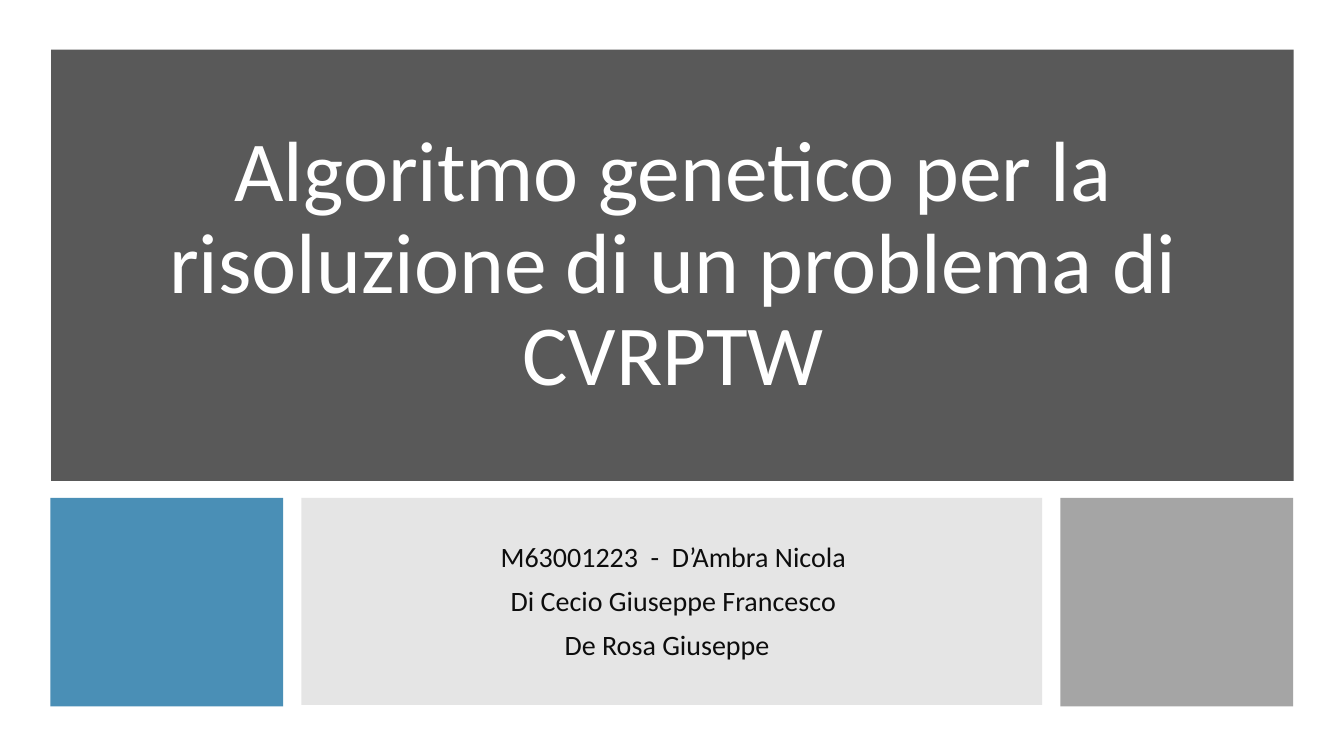
from dataclasses import dataclass
from lxml import etree
from pptx import Presentation
from pptx.dml.color import RGBColor
from pptx.enum.shapes import MSO_SHAPE
from pptx.enum.text import MSO_ANCHOR, MSO_AUTO_SIZE, PP_ALIGN
from pptx.oxml.ns import qn
from pptx.util import Pt


@dataclass(frozen=True)
class Theme:
    font: str = "Calibri"
    title_size: int = 61
    body_size: int = 20
    dark: str = "595959"
    blue: str = "418AB3"
    pale: str = "7F7F7F"
    gray: str = "A5A5A5"
    white: str = "FFFFFF"
    ink: str = "0D0D0D"


theme = Theme()


def add_panel(s, box, color, opacity=100):
    sp = s.shapes.add_shape(MSO_SHAPE.RECTANGLE, *[Pt(v) for v in box])
    sp.shadow.inherit = False
    sp.line.fill.background()
    sp.fill.solid()
    sp.fill.fore_color.rgb = RGBColor.from_string(color)
    if opacity < 100:
        clr = sp.element.spPr.find(qn("a:solidFill")).find(qn("a:srgbClr"))
        etree.SubElement(clr, qn("a:alpha")).set("val", str(opacity * 1000))


def fill_placeholder(sp, box, text, size, color, before):
    sp.left, sp.top, sp.width, sp.height = [Pt(v) for v in box]
    sp.element.getparent().append(sp.element)
    tf = sp.text_frame
    tf.text = text
    tf.word_wrap = True
    tf.auto_size = MSO_AUTO_SIZE.NONE
    tf.vertical_anchor = MSO_ANCHOR.MIDDLE
    for p in tf.paragraphs:
        p.alignment = PP_ALIGN.CENTER
        p.line_spacing = 0.9
        p.space_before = Pt(before)
        for r in p.runs:
            r.font.name = theme.font
            r.font.size = Pt(size)
            r.font.color.rgb = RGBColor.from_string(color)


prs = Presentation()
prs.slide_width, prs.slide_height = Pt(960), Pt(540)
s = prs.slides.add_slide(prs.slide_layouts[0])

add_panel(s, (36.5, 35.5, 887.5, 308), theme.dark)
add_panel(s, (36, 355.7, 166.3, 149), theme.blue, 95)
add_panel(s, (215.3, 355.7, 529.2, 147.8), theme.pale, 20)
add_panel(s, (757.4, 355.7, 166.3, 149), theme.gray)

fill_placeholder(
    s.shapes.title, (86.4, 86.4, 788.4, 206.6),
    "Algoritmo genetico per la risoluzione di un problema di CVRPTW",
    theme.title_size, theme.white, 0)
fill_placeholder(
    s.placeholders[1], (254.2, 381.6, 453.6, 97.2),
    "M63001223  -  D’Ambra Nicola\nDi Cecio Giuseppe Francesco\nDe Rosa Giuseppe  ",
    theme.body_size, theme.ink, 10)

prs.save("out.pptx")
